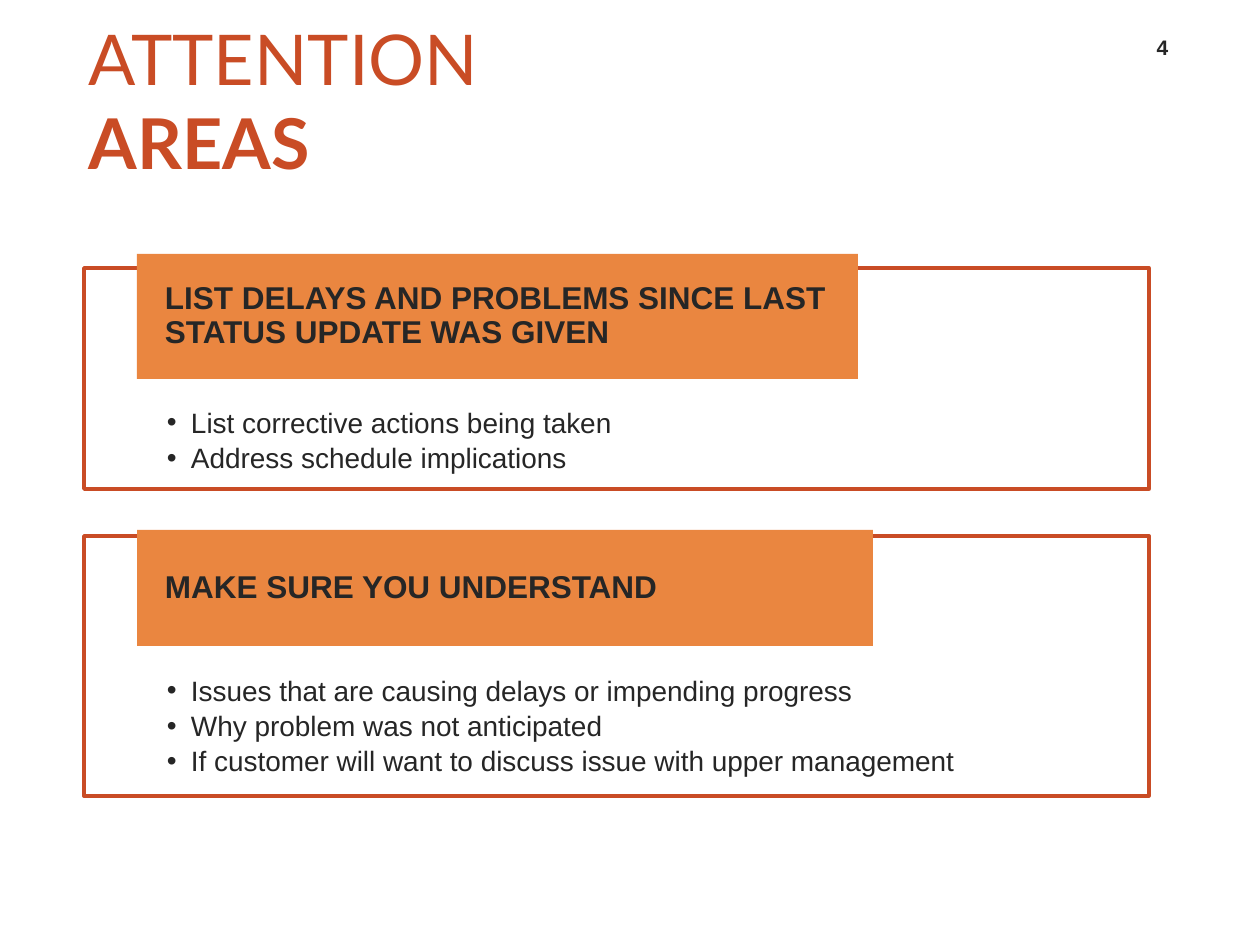
"""Builds the attention areas slide with two outlined sections of bullets."""
from pptx import Presentation
from pptx.dml.color import RGBColor
from pptx.enum.shapes import MSO_SHAPE
from pptx.enum.text import MSO_ANCHOR, PP_ALIGN
from pptx.oxml.ns import qn
from pptx.util import Emu, Pt
from lxml.etree import SubElement

COLORS = {"accent": "C94C25", "label": "EA8640", "text": "262626"}
SECTIONS = [
    {"frame": (84, 268, 1065, 221), "label": (137, 254, 721, 125),
     "heading": "LIST DELAYS AND PROBLEMS SINCE LAST STATUS UPDATE WAS GIVEN",
     "bullets": ["List corrective actions being taken",
                 "Address schedule implications"]},
    {"frame": (84, 536, 1065, 260), "label": (137, 530, 736, 116),
     "heading": "MAKE SURE YOU UNDERSTAND",
     "bullets": ["Issues that are causing delays or impending progress",
                 "Why problem was not anticipated",
                 "If customer will want to discuss issue with upper management"]},
]


def px(*lengths):
    return [Emu(length * 914400 // 126) for length in lengths]


def add_box(bounds, insets, anchor, paragraphs, size, color, font="Arial", shape=None):
    if shape is None:
        box = page.shapes.add_textbox(*px(*bounds))
    else:
        box = page.shapes.add_shape(shape, *px(*bounds))
        box.shadow.inherit = False
        box.fill.background()
        box.line.fill.background()
    frame = box.text_frame
    frame.word_wrap = True
    frame.vertical_anchor = anchor
    frame.margin_left, frame.margin_top, frame.margin_right, frame.margin_bottom = px(*insets)
    for index, runs in enumerate(paragraphs):
        para = frame.paragraphs[0] if index == 0 else frame.add_paragraph()
        para.alignment = PP_ALIGN.LEFT
        for text, bold in runs:
            span = para.add_run()
            span.text = text
            span.font.name = font
            span.font.size = Pt(size)
            span.font.bold = bold
            span.font.color.rgb = RGBColor.from_string(COLORS[color])
    return box


deck = Presentation()
deck.slide_width, deck.slide_height = px(1260, 945)
page = deck.slides.add_slide(deck.slide_layouts[6])

add_box((64, 53, 639, 93), (25, 6, 0, 6), MSO_ANCHOR.MIDDLE,
        [[("ATTENTION", False), (" AREAS", True)]], 40, "accent", "Lato")
number = add_box((1128, 24, 69, 42), (13, 6, 13, 6), MSO_ANCHOR.BOTTOM,
                 [[("4", True)]], 12, "text")
number.text_frame.paragraphs[0].alignment = PP_ALIGN.CENTER

for section in SECTIONS:
    outline = add_box(section["frame"], (83, 141, 83, 15), MSO_ANCHOR.TOP,
                      [[(text, False)] for text in section["bullets"]],
                      16, "text", shape=MSO_SHAPE.RECTANGLE)
    outline.line.color.rgb = RGBColor.from_string(COLORS["accent"])
    outline.line.width = Pt(2)
    for para in outline.text_frame.paragraphs:
        para.line_spacing = 0.9
        para.space_after = Pt(2.8)
        properties = para._p.get_or_add_pPr()
        indent = px(24)[0]
        properties.set("marL", str(indent))
        properties.set("indent", str(-indent))
        SubElement(properties, qn("a:buFont")).set("typeface", "Arial")
        SubElement(properties, qn("a:buChar")).set("char", "•")

    label = add_box(section["label"], (28, 0, 28, 0), MSO_ANCHOR.MIDDLE,
                    [[(section["heading"], True)]], 18, "text", shape=MSO_SHAPE.RECTANGLE)
    label.fill.solid()
    label.fill.fore_color.rgb = RGBColor.from_string(COLORS["label"])
    label.text_frame.paragraphs[0].line_spacing = 0.9

deck.save("out.pptx")
